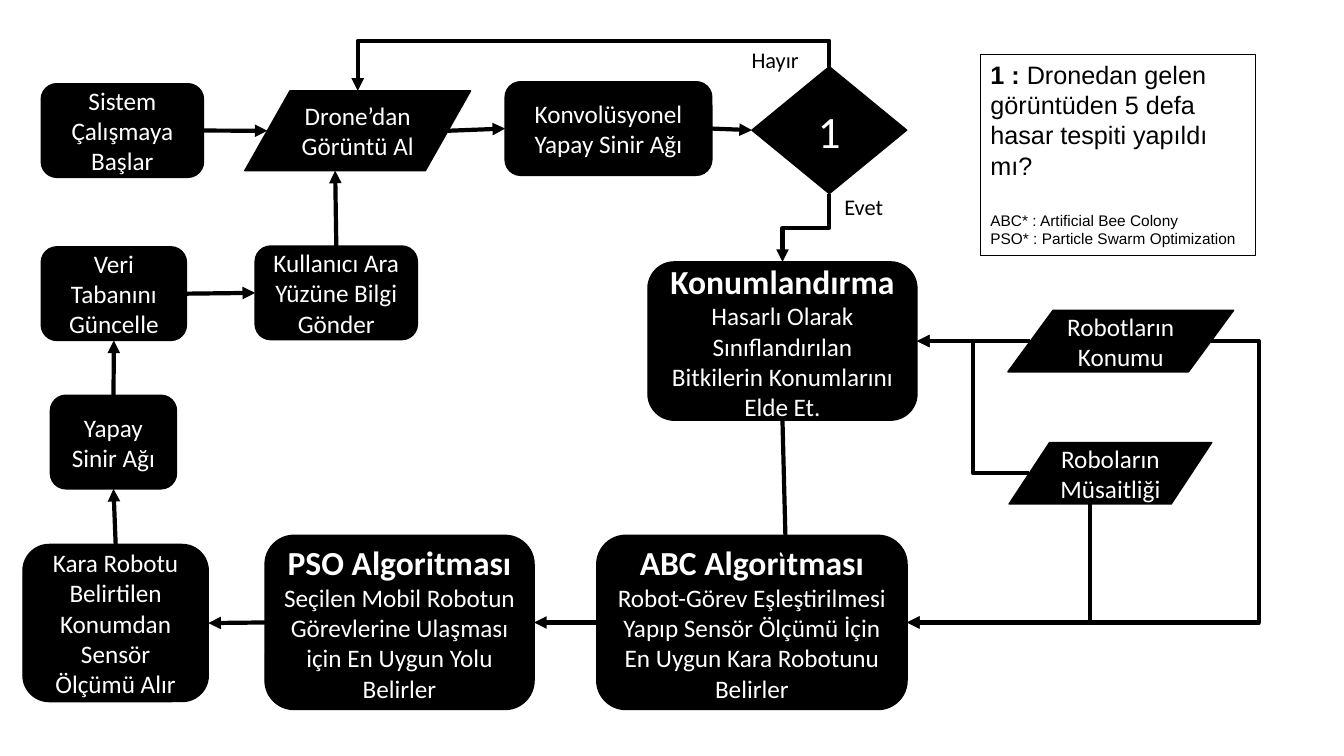
"""Flowchart of the drone and ground robot plant inspection system."""
from lxml.etree import SubElement
from pptx import Presentation
from pptx.dml.color import RGBColor
from pptx.enum.shapes import MSO_CONNECTOR as LINK, MSO_SHAPE as SHAPE
from pptx.enum.text import MSO_ANCHOR as ANCHOR, PP_ALIGN as ALIGN
from pptx.oxml.ns import qn
from pptx.util import Cm, Pt

BLACK = RGBColor(0, 0, 0)
WHITE = RGBColor(255, 255, 255)
ROUND, SLANT, DIAMOND = (
    SHAPE.ROUNDED_RECTANGLE, SHAPE.FLOWCHART_DATA, SHAPE.FLOWCHART_DECISION)

BODY = {"size": Pt(18), "name": "Calibri", "bold": False}
HEAD = BODY | {"size": Pt(24), "bold": True}
DIGIT = BODY | {"size": Pt(32)}
LABEL = BODY | {"size": Pt(16)}
NOTE = BODY | {"name": "Arial"}
NOTE_BOLD = NOTE | {"bold": True}
SMALL = NOTE | {"size": Pt(11)}

STEPS = {
    "robot": (ROUND, (0.58, 13.72, 4.67, 3.96),
              [("Kara Robotu Belirtilen Konumdan Sensör Ölçümü Alır", BODY)]),
    "cnn": (ROUND, (12.73, 2.06, 5.21, 2.36),
            [("Konvolüsyonel Yapay Sinir Ağı", BODY)]),
    "check": (DIAMOND, (18.95, 1.68, 3.9, 3.2), [("1", DIGIT)]),
    "drone": (SLANT, (6.17, 2.29, 5.69, 2.01), [("Drone’dan Görüntü Al", BODY)]),
    "notify": (ROUND, (6.43, 6.2, 4.09, 2.36),
               [("Kullanıcı Ara Yüzüne Bilgi Gönder", BODY)]),
    "start": (ROUND, (1.04, 2.11, 4.09, 2.36),
              [("Sistem Çalışmaya Başlar", BODY)]),
    "database": (ROUND, (1.04, 6.22, 3.66, 2.36),
                 [("Veri Tabanını Güncelle", BODY)]),
    "network": (ROUND, (1.27, 9.96, 3.18, 2.36), [("Yapay Sinir Ağı", BODY)]),
    "pso": (ROUND, (6.68, 13.49, 6.78, 4.39),
            [("PSO Algoritması", HEAD),
             ("Seçilen Mobil Robotun Görevlerine Ulaşması için En Uygun Yolu "
              "Belirler", BODY)]),
    "abc": (ROUND, (15.04, 13.49, 7.82, 4.39),
            [("ABC Algoritması", HEAD),
             ("Robot-Görev Eşleştirilmesi Yapıp Sensör Ölçümü İçin En Uygun "
              "Kara Robotunu Belirler", BODY)]),
    "locate": (ROUND, (16.33, 6.6, 6.78, 3.99),
               [("Konumlandırma", HEAD),
                ("Hasarlı Olarak Sınıflandırılan Bitkilerin Konumlarını "
                 "Elde Et.", BODY)]),
    "free": (SLANT, (25.43, 11.15, 5.11, 1.55),
             [("Roboların", BODY), ("Müsaitliği", BODY)]),
    "place": (SLANT, (25.4, 7.82, 5.69, 1.55),
              [("Robotların", BODY), ("Konumu", BODY)]),
}

TOP, LEFT, BOTTOM, RIGHT = SITES = [(0.5, 0), (0, 0.5), (0.5, 1), (1, 0.5)]
SLANT_LEFT, SLANT_RIGHT, SLANT_BOTTOM = (0.1, 0.5), (0.9, 0.5), (0.4, 1)
INSIDE_TOP = (0.61, 0.15)

ARROWS = [
    ("start", RIGHT, "drone", SLANT_LEFT),
    ("drone", SLANT_RIGHT, "cnn", LEFT),
    ("cnn", RIGHT, "check", LEFT),
    ("abc", LEFT, "pso", RIGHT),
    ("pso", LEFT, "robot", RIGHT),
    ("robot", TOP, "network", BOTTOM),
    ("network", TOP, "database", BOTTOM),
    ("database", RIGHT, "notify", LEFT),
    ("notify", TOP, "drone", SLANT_BOTTOM),
    ("locate", BOTTOM, "abc", INSIDE_TOP),
]
ELBOWS = [
    ("check", BOTTOM, "locate", TOP, "bentConnector3", 50000),
    ("place", SLANT_LEFT, "locate", RIGHT, "bentConnector3", 50000),
    ("free", SLANT_LEFT, "locate", RIGHT, "bentConnector3", 50000),
    ("free", SLANT_BOTTOM, "abc", RIGHT, "bentConnector2", None),
    ("place", SLANT_RIGHT, "abc", RIGHT, "bentConnector3", -15700),
    ("check", TOP, "drone", TOP, "bentConnector3", -106700),
]
LABELS = [("Hayır", (18.69, 1.04, 1.7, 0.94)), ("Evet", (21.03, 4.75, 1.7, 0.94))]
LEGEND_BOX = (24.71, 1.37, 6.93, 5.05)
LEGEND = [
    ([("1 : ", NOTE_BOLD),
      ("Dronedan gelen görüntüden 5 defa hasar tespiti yapıldı mı?", NOTE)], 0),
    ([("ABC* : Artificial Bee Colony", SMALL)], 22),
    ([("PSO* : Particle Swarm Optimization", SMALL)], 0),
]


def write(para, text, style, color):
    span = para.add_run()
    span.text = text
    span.font.color.rgb = color
    for key, value in style.items():
        setattr(span.font, key, value)


def paragraph(frame, index):
    return frame.add_paragraph() if index else frame.paragraphs[0]


def add_step(page, kind, box, lines):
    shape = page.shapes.add_shape(kind, *map(Cm, box))
    shape.shadow.inherit = False
    shape.fill.solid()
    shape.fill.fore_color.rgb = shape.line.color.rgb = BLACK
    shape.line.width = Pt(1)
    shape.text_frame.vertical_anchor = ANCHOR.MIDDLE
    for index, (text, style) in enumerate(lines):
        para = paragraph(shape.text_frame, index)
        para.alignment = ALIGN.CENTER
        write(para, text, style, WHITE)
    return shape


def point(name, site):
    left, top, width, height = STEPS[name][1]
    return left + site[0] * width, top + site[1] * height


def add_link(page, kind, begin, end):
    link = page.shapes.add_connector(kind, *map(Cm, (*begin, *end)))
    link.line.color.rgb = BLACK
    link.line.width = Pt(3)
    SubElement(link.line._get_or_add_ln(), qn("a:tailEnd"), type="triangle")
    SubElement(link._element.spPr, qn("a:effectLst"))
    return link


def add_elbow(page, begin, end, vertical, preset, bend):
    if vertical:
        middle = [(a + b) / 2 for a, b in zip(begin, end)]
        half = (end[1] - begin[1]) / 2, (begin[0] - end[0]) / 2
        begin = [m - h for m, h in zip(middle, half)]
        end = [m + h for m, h in zip(middle, half)]
    link = add_link(page, LINK.ELBOW, begin, end)
    properties = link._element.spPr
    if vertical:
        properties.find(qn("a:xfrm")).set("rot", "5400000")
    outline = properties.find(qn("a:prstGeom"))
    outline.set("prst", preset)
    if bend is not None:
        SubElement(outline.find(qn("a:avLst")), qn("a:gd"),
                   name="adj1", fmla=f"val {bend}")


def add_text(page, box):
    shape = page.shapes.add_textbox(*map(Cm, box))
    shape.text_frame.word_wrap = True
    return shape


def main():
    deck = Presentation()
    deck.slide_width, deck.slide_height = Cm(33.87), Cm(19.05)
    page = deck.slides.add_slide(deck.slide_layouts[6])
    shapes = {name: add_step(page, *step) for name, step in STEPS.items()}

    for source, leave, target, enter in ARROWS:
        link = add_link(page, LINK.STRAIGHT, point(source, leave), point(target, enter))
        for name, site, join in ((source, leave, link.begin_connect),
                                 (target, enter, link.end_connect)):
            if STEPS[name][0] != SLANT and site in SITES:
                join(shapes[name], SITES.index(site))

    for source, leave, target, enter, preset, bend in ELBOWS:
        add_elbow(page, point(source, leave), point(target, enter),
                  leave[1] in (0, 1), preset, bend)

    legend = add_text(page, LEGEND_BOX)
    legend.line.color.rgb = BLACK
    legend.line.width = Pt(0.25)
    for index, (spans, gap) in enumerate(LEGEND):
        para = paragraph(legend.text_frame, index)
        para.space_before = Pt(gap)
        for text, style in spans:
            write(para, text, style, BLACK)

    for text, box in LABELS:
        write(add_text(page, box).text_frame.paragraphs[0], text, LABEL, BLACK)
    deck.save("out.pptx")


if __name__ == "__main__":
    main()
